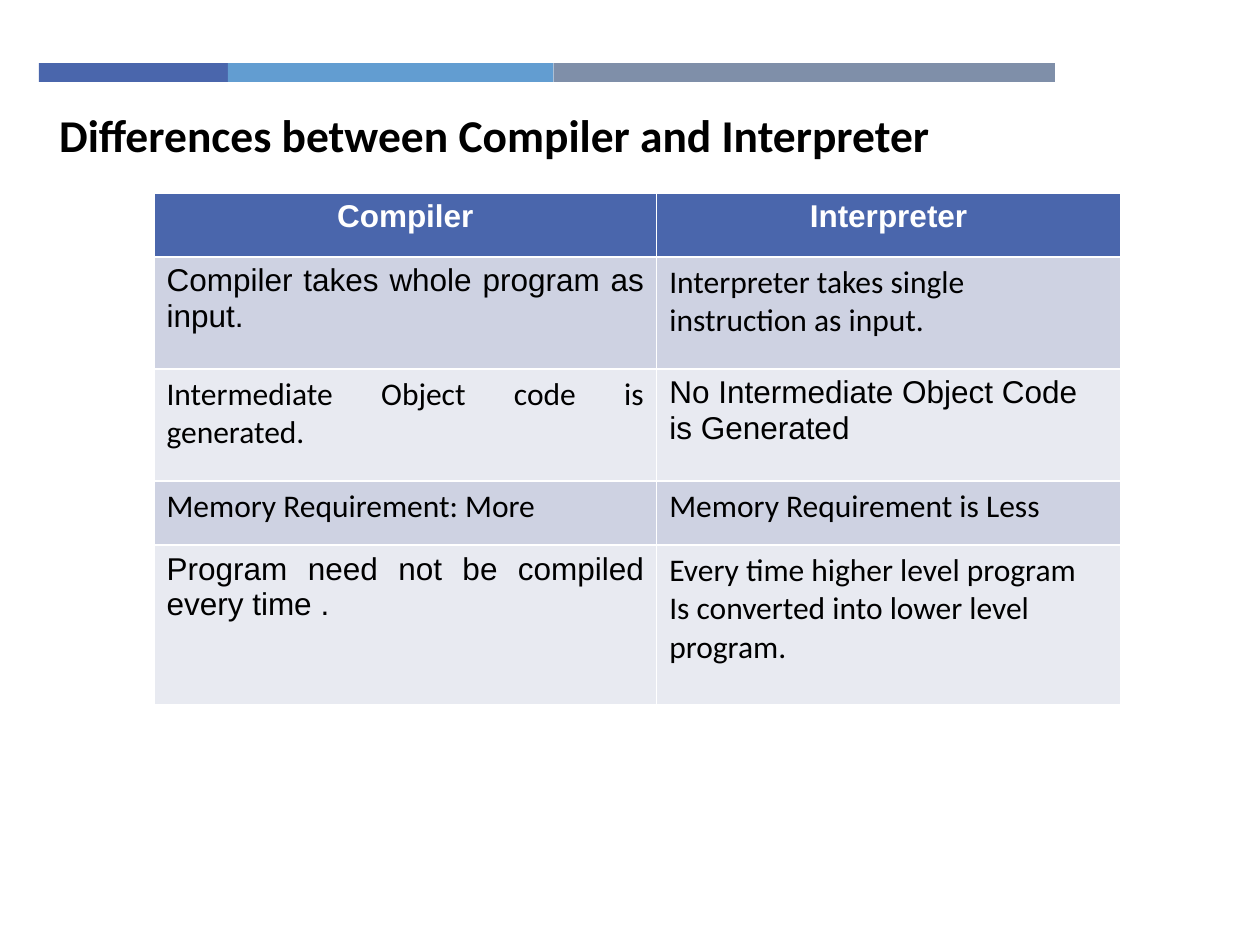
from dataclasses import dataclass

from pptx import Presentation
from pptx.dml.color import RGBColor
from pptx.enum import text
from pptx.enum.shapes import MSO_SHAPE
from pptx.util import Pt

LEFT, CENTER, JUSTIFY = text.PP_ALIGN.LEFT, text.PP_ALIGN.CENTER, text.PP_ALIGN.JUSTIFY
ARIAL, CALIBRI = "Arial", "Calibri"


@dataclass(frozen=True)
class Theme:
    accents: tuple = ("4A66AC", "629DD1", "7F8FA9")
    header: str = "4A66AC"
    bands: tuple = ("CED2E2", "E8EAF1")
    dark: str = "000000"
    light: str = "FFFFFF"
    title_size: float = 26
    table_size: float = 18


class SlideBuilder:
    def __init__(self, prs, theme):
        self.theme = theme
        self.s = prs.slides.add_slide(prs.slide_layouts[5])

    def fill(self, target, color):
        target.fill.solid()
        target.fill.fore_color.rgb = RGBColor.from_string(color)

    def run(self, p, words, font, size, color, bold=False):
        r = p.add_run()
        r.text = words
        r.font.name, r.font.size, r.font.bold = font, Pt(size), bold
        r.font.color.rgb = RGBColor.from_string(color)

    def accent_bar(self, left, top, widths, height):
        """Draw touching strips, one for each accent colour."""
        for width, color in zip(widths, self.theme.accents):
            sp = self.s.shapes.add_shape(
                MSO_SHAPE.RECTANGLE, Pt(left), Pt(top), Pt(width), Pt(height))
            sp.shadow.inherit = False
            sp.line.fill.background()
            self.fill(sp, color)
            left += width

    def title(self, words, left, top, width, height):
        sp = self.s.shapes.title
        sp.left, sp.top, sp.width, sp.height = map(Pt, (left, top, width, height))
        tf = sp.text_frame
        tf.auto_size = text.MSO_AUTO_SIZE.NONE
        tf.word_wrap = False
        tf.vertical_anchor = text.MSO_ANCHOR.TOP
        p = tf.paragraphs[0]
        p.alignment = LEFT
        self.run(p, words, CALIBRI, self.theme.title_size, self.theme.dark, bold=True)

    def cell(self, cell, lines, font, align, header, fill):
        t = self.theme
        self.fill(cell, fill)
        tf = cell.text_frame
        for i, line in enumerate(lines):
            p = tf.add_paragraph() if i else tf.paragraphs[0]
            p.alignment = align
            self.run(p, line, font, t.table_size, t.light if header else t.dark, header)

    def table(self, rows, left, top, widths, heights):
        """Fill a table from rows of (lines, font, alignment); row 0 is the header."""
        t = self.theme
        tbl = self.s.shapes.add_table(
            len(rows), len(widths), Pt(left), Pt(top),
            Pt(sum(widths)), Pt(sum(heights))).table
        for col, width in zip(tbl.columns, widths):
            col.width = Pt(width)
        for i, (row, height) in enumerate(zip(rows, heights)):
            tbl.rows[i].height = Pt(height)
            fill = t.bands[(i - 1) % 2] if i else t.header
            for j, (lines, font, align) in enumerate(row):
                self.cell(tbl.cell(i, j), lines, font, align, i == 0, fill)


ROWS = [
    [(["Compiler"], ARIAL, CENTER), (["Interpreter"], ARIAL, CENTER)],
    [(["Compiler takes whole program as input. "], ARIAL, JUSTIFY),
     (["Interpreter takes single instruction as input."], CALIBRI, LEFT)],
    [(["Intermediate Object code is generated."], CALIBRI, JUSTIFY),
     (["No Intermediate Object Code is Generated"], ARIAL, LEFT)],
    [(["Memory Requirement: More"], CALIBRI, LEFT),
     (["Memory Requirement is Less"], CALIBRI, LEFT)],
    [(["Program need not be compiled every time . "], ARIAL, JUSTIFY),
     (["Every time higher level program",
       "Is converted into lower level program."], CALIBRI, LEFT)],
]


def main():
    prs = Presentation()
    prs.slide_width, prs.slide_height = Pt(720), Pt(540)
    slide = SlideBuilder(prs, Theme())
    slide.accent_bar(22.3, 36, (108, 186, 286.5), 10.8)
    slide.title("Differences between Compiler and Interpreter", 26.6, 57.6, 515.5, 38.9)
    slide.table(ROWS, 88, 110.2, (287.3, 265), (36.7, 64, 64, 36.7, 91.4))
    prs.save("out.pptx")


if __name__ == "__main__":
    main()
